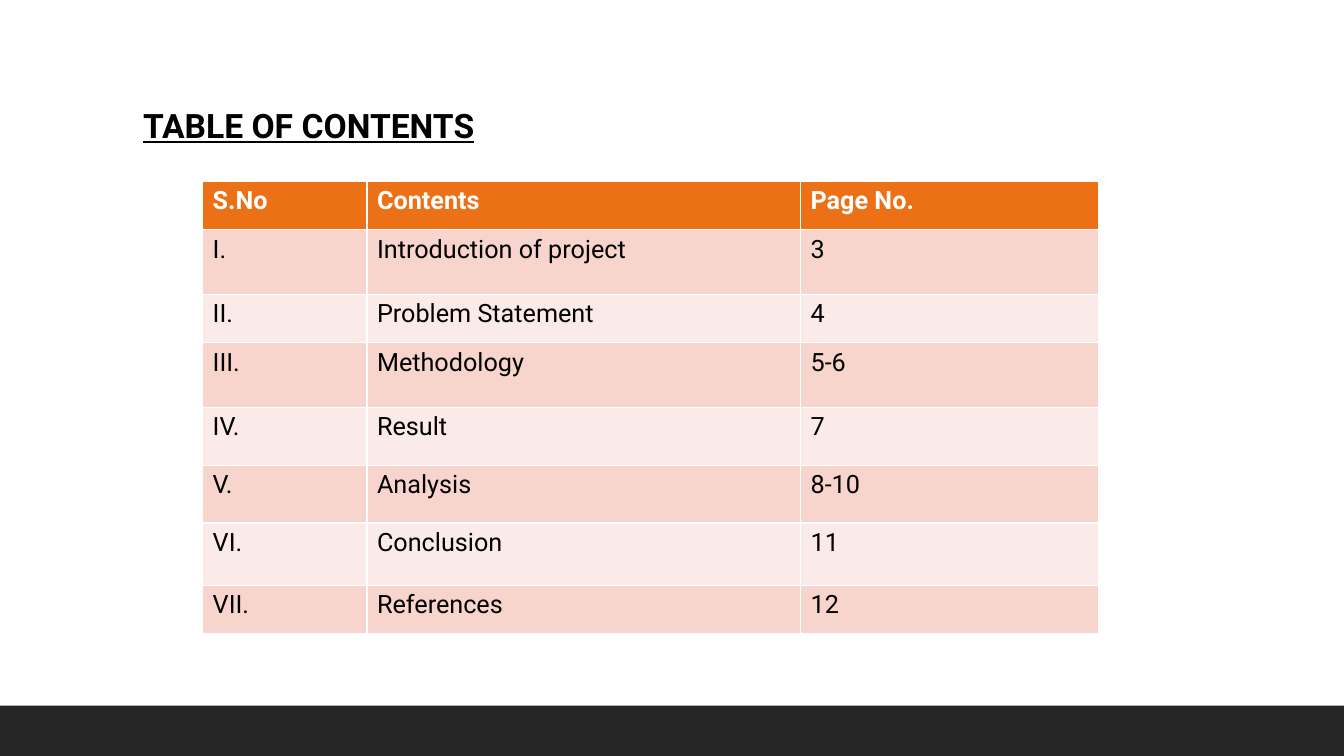
import pptx
import pptx.util
import pptx.dml.color
import pptx.enum.shapes
import pptx.enum.text

Inches, Pt = pptx.util.Inches, pptx.util.Pt
RGBColor = pptx.dml.color.RGBColor

BLACK = RGBColor(0x00, 0x00, 0x00)
WHITE = RGBColor(0xFF, 0xFF, 0xFF)
CHARCOAL = RGBColor(0x26, 0x26, 0x26)
ORANGE = RGBColor(0xEC, 0x70, 0x16)
BANDS = [RGBColor(0xFB, 0xEB, 0xE8), RGBColor(0xF8, 0xD5, 0xCC)]

COL_WIDTHS = [1.63, 4.3, 2.96]
ROW_HEIGHTS = [0.48, 0.64, 0.48, 0.64, 0.58, 0.57, 0.62, 0.48]
CONTENTS = [
    ("S.No", "Contents", "Page No."),
    ("I.", "Introduction of project", "3"),
    ("II.", "Problem Statement", "4"),
    ("III.", "Methodology", "5-6"),
    ("IV.", "Result", "7"),
    ("V.", "Analysis", "8-10"),
    ("VI.", "Conclusion", "11"),
    ("VII.", "References", "12"),
]


def style(p, size, color, bold):
    p.font.name = "Roboto"
    p.font.size = Pt(size)
    p.font.bold = bold
    p.font.color.rgb = color


prs = pptx.Presentation()
prs.slide_width = Inches(13.33)
prs.slide_height = Inches(7.5)
s = prs.slides.add_slide(prs.slide_layouts[5])

band_height = prs.slide_height // 15
footer = s.shapes.add_shape(
    pptx.enum.shapes.MSO_SHAPE.RECTANGLE,
    0, prs.slide_height - band_height, prs.slide_width, band_height)
footer.shadow.inherit = False
footer.fill.solid()
footer.fill.fore_color.rgb = CHARCOAL
footer.line.fill.background()

title = s.shapes.title
title.left, title.top = Inches(1.32), Inches(0.99)
title.width, title.height = Inches(9.94), Inches(0.81)
tf = title.text_frame
tf.text = "TABLE OF CONTENTS"
tf.auto_size = pptx.enum.text.MSO_AUTO_SIZE.NONE
tf.vertical_anchor = pptx.enum.text.MSO_ANCHOR.TOP
p = tf.paragraphs[0]
p.alignment = pptx.enum.text.PP_ALIGN.LEFT
style(p, 24, BLACK, True)
p.font.underline = True

table = s.shapes.add_table(
    len(ROW_HEIGHTS), len(COL_WIDTHS), Inches(2.01), Inches(1.8),
    Inches(sum(COL_WIDTHS)), Inches(sum(ROW_HEIGHTS))).table
for column, width in zip(table.columns, COL_WIDTHS):
    column.width = Inches(width)
for i, (row, height, texts) in enumerate(zip(table.rows, ROW_HEIGHTS, CONTENTS)):
    row.height = Inches(height)
    header = i == 0
    for cell, text in zip(row.cells, texts):
        cell.text = text
        cell.fill.solid()
        cell.fill.fore_color.rgb = ORANGE if header else BANDS[i % 2]
        style(cell.text_frame.paragraphs[0], 18, WHITE if header else BLACK, header)

prs.save("out.pptx")
